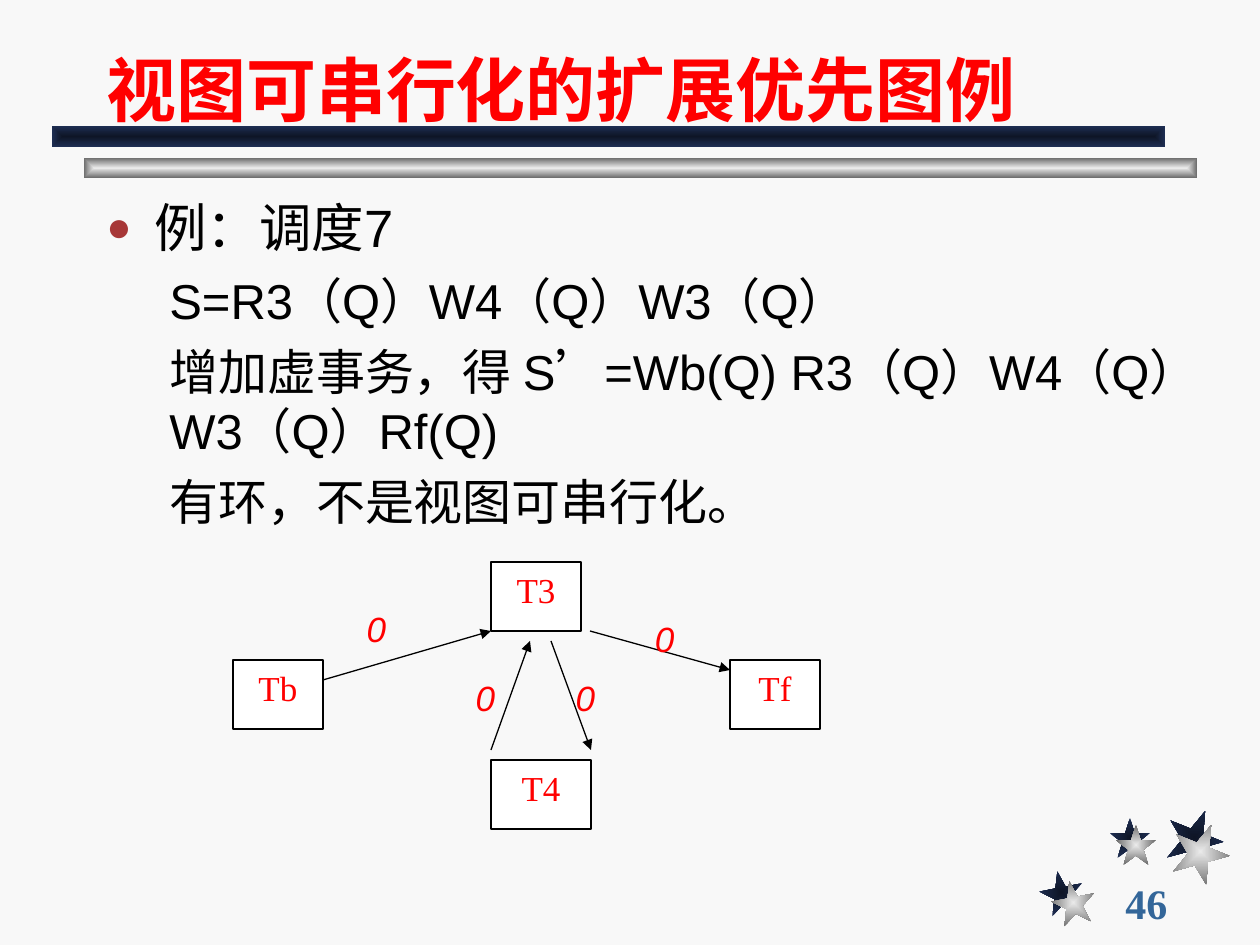
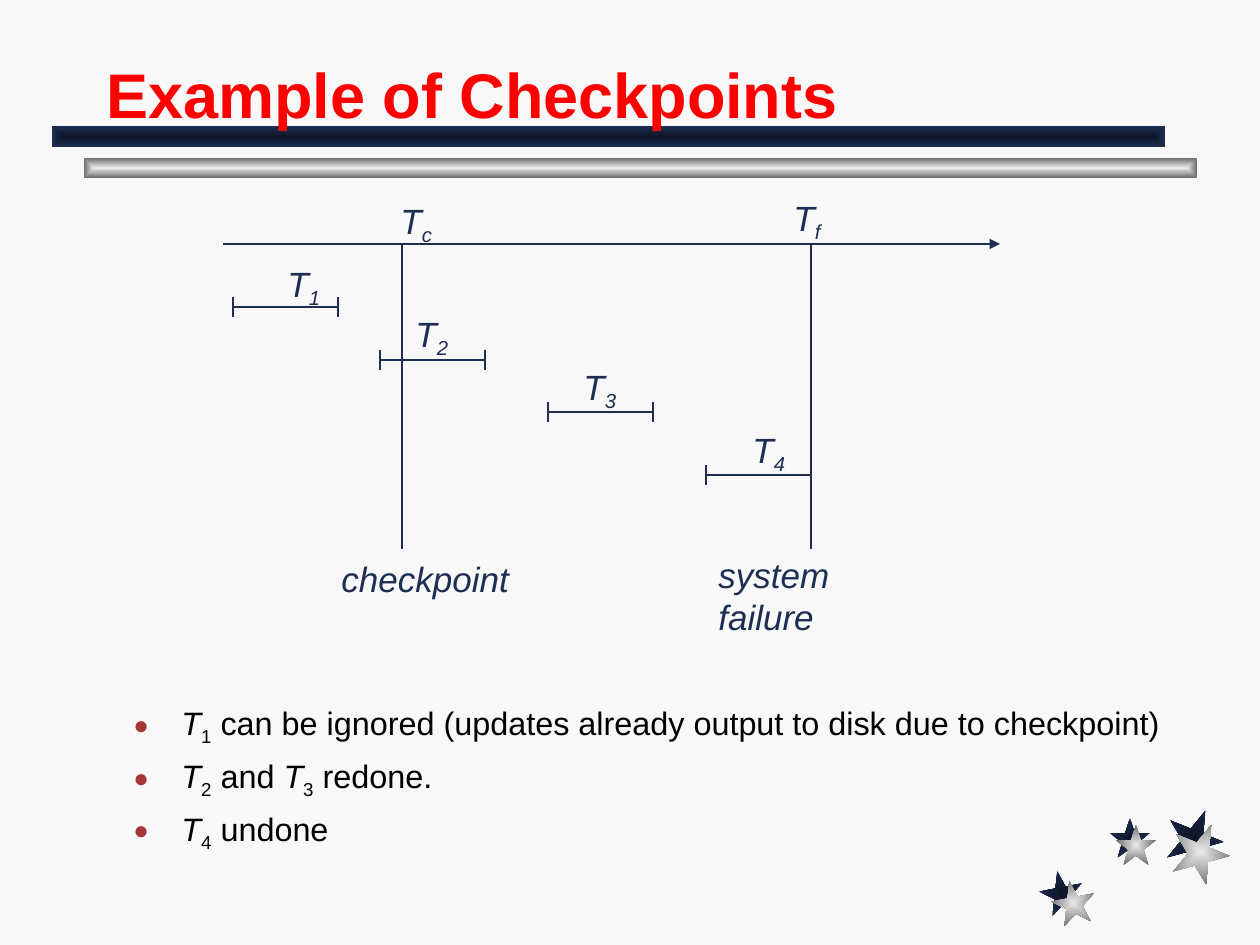
from dataclasses import dataclass

from lxml import etree
from pptx import Presentation
from pptx import util as u
from pptx.dml.color import RGBColor
from pptx.enum import shapes, text
from pptx.oxml import ns


@dataclass(frozen=True)
class Theme:
    paper: str = "F8F8F8"
    white: str = "FFFFFF"
    black: str = "000000"
    red: str = "FF0000"
    navy: str = "1E2E53"
    bullet: str = "A73737"
    page: str = "336699"
    navy_glow: tuple = ("0E1526", "1E2E53")
    silver_glow: tuple = ("EAEAEA", "6C6C6C")
    sans: str = "Arial"
    serif: str = "Times New Roman"
    label_size: float = 20
    page_size: float = 24
    lead_size: float = 30
    detail_size: float = 28
    note_size: float = 18.5
    line_width: float = 0.75


THEME = Theme()
EMU_PER_PX = 914400 / 126
SHAPE = shapes.MSO_SHAPE
ALIGN = text.PP_ALIGN
ANCHOR = text.MSO_ANCHOR


def px(*lengths):
    return [u.Emu(round(length * EMU_PER_PX)) for length in lengths]


def rgb(code):
    return RGBColor.from_string(code)


def add_xml(parent, tag, **attributes):
    return etree.SubElement(parent, ns.qn(tag), attributes)


# Text

def style_span(span, size, color, font=THEME.sans, bold=False, italic=False):
    span.font.size = u.Pt(size)
    span.font.color.rgb = rgb(color)
    span.font.name = font
    span.font.bold = bold
    span.font.italic = italic


def add_text(page, area, content, size, color, align=ALIGN.LEFT,
             anchor=ANCHOR.TOP, wrap=False, **style):
    box = page.shapes.add_textbox(*px(*area))
    frame = box.text_frame
    frame.word_wrap = wrap
    frame.vertical_anchor = anchor
    frame.text = content
    para = frame.paragraphs[0]
    para.alignment = align
    for span in para.runs:
        style_span(span, size, color, **style)
    return box


def add_subscript(para, content, *style, **options):
    span = para.add_run()
    span.text = content
    style_span(span, *style, **options)
    span._r.get_or_add_rPr().set("baseline", "-25000")


def add_symbol(page, left, top, letter, index):
    """An italic letter with a subscript."""
    style = (THEME.label_size, THEME.navy)
    box = add_text(page, (left, top, 58, 60), letter, *style, italic=True)
    add_subscript(box.text_frame.paragraphs[0], index, *style, italic=True)


def indent(para, margin, hanging=0):
    properties = para._p.get_or_add_pPr()
    properties.set("marL", str(px(margin)[0]))
    properties.set("indent", str(px(-hanging)[0]))
    return properties


def add_bullet(para):
    properties = indent(para, 48, 48)
    color = add_xml(properties, "a:buClr")
    add_xml(color, "a:srgbClr", val=THEME.bullet)
    add_xml(properties, "a:buSzPct", val="80000")
    add_xml(properties, "a:buFont", typeface=THEME.sans)
    add_xml(properties, "a:buChar", char="●")


def add_body(page, area):
    frame = page.shapes.add_textbox(*px(*area)).text_frame
    frame.word_wrap = True
    return frame


def next_paragraph(frame, position, space):
    if position == 0:
        return frame.paragraphs[0]
    para = frame.add_paragraph()
    para.space_before = u.Pt(space)
    return para


# Shapes and lines

def add_glowing(page, kind, area, glow, rotation=0):
    """A borderless shape with a gradient that spreads from its centre."""
    shape = page.shapes.add_shape(kind, *px(*area))
    shape.shadow.inherit = False
    shape.rotation = rotation
    shape.line.fill.background()
    shape.fill.gradient()
    for stop, position, code in zip(shape.fill.gradient_stops, (0, 1), glow):
        stop.position = position
        stop.color.rgb = rgb(code)
    gradient = shape._element.spPr.find(ns.qn("a:gradFill"))
    gradient.remove(gradient.find(ns.qn("a:lin")))
    spread = add_xml(gradient, "a:path", path="rect")
    add_xml(spread, "a:fillToRect", l="50000", t="50000", r="50000", b="50000")


def add_line(page, start, end, color, arrow=False):
    line = page.shapes.add_connector(shapes.MSO_CONNECTOR.STRAIGHT,
                                     *px(*start, *end))
    line.line.width = u.Pt(THEME.line_width)
    line.line.color.rgb = rgb(color)
    if arrow:
        add_xml(line.line._get_or_add_ln(), "a:tailEnd", type="triangle")
    add_xml(line._element.spPr, "a:effectLst")


def add_node(page, left, top, name, width=90):
    node = page.shapes.add_shape(SHAPE.RECTANGLE, *px(left, top, width, 69))
    node.shadow.inherit = False
    node.fill.solid()
    node.fill.fore_color.rgb = rgb(THEME.white)
    node.line.color.rgb = rgb(THEME.black)
    node.line.width = u.Pt(THEME.line_width)
    frame = node.text_frame
    frame.vertical_anchor = ANCHOR.TOP
    frame.text = name
    para = frame.paragraphs[0]
    para.alignment = ALIGN.CENTER
    style_span(para.runs[0], THEME.label_size, THEME.red, THEME.serif)


def add_interval(page, left, y, width=105, tick=10):
    """A transaction's lifetime, closed by a tick at each end."""
    right = left + width
    add_line(page, (left, y), (right, y), THEME.navy)
    for x in (left, right):
        add_line(page, (x, y - tick), (x, y + tick), THEME.navy)


# Shared page frame

def add_page(deck, title, title_size):
    page = deck.slides.add_slide(deck.slide_layouts[6])
    page.background.fill.solid()
    page.background.fill.fore_color.rgb = rgb(THEME.paper)

    # Each star: left, top, size, rotation, offset of its silver twin
    stars = [(1040, 871, 43, 349, 12, 10),
             (1110, 818, 40, 0, 6, 7),
             (1166, 809, 57, 22, 6, 14)]
    for left, top, size, turn, _, _ in stars:
        add_glowing(page, SHAPE.STAR_5_POINT, (left, top, size, size),
                    THEME.navy_glow, turn)
    for left, top, size, turn, right, down in stars:
        add_glowing(page, SHAPE.STAR_5_POINT,
                    (left + right, top + down, size, size),
                    THEME.silver_glow, turn)

    # Bands under the title
    add_glowing(page, SHAPE.RECTANGLE, (84, 158, 1113, 20), THEME.silver_glow)
    add_glowing(page, SHAPE.RECTANGLE, (52, 126, 1113, 21), THEME.navy_glow)
    add_text(page, (94, 21, 1071, 116), title, title_size, THEME.red,
             anchor=ANCHOR.BOTTOM, wrap=True, bold=True)
    return page


# Pages

def build_precedence_page(deck):
    page = add_page(deck, "视图可串行化的扩展优先图例", 40)
    add_text(page, (1113, 882, 136, 42), "46", THEME.page_size, THEME.page,
             anchor=ANCHOR.MIDDLE, font=THEME.serif, bold=True)

    # Schedule
    lines = ["例：调度7",
             "S=R3（Q）W4（Q）W3（Q）",
             "增加虚事务，得 S’=Wb(Q) R3（Q）W4（Q）W3（Q）Rf(Q)",
             "有环，不是视图可串行化。"]
    frame = add_body(page, (94, 189, 1132, 348))
    for position, line in enumerate(lines):
        para = next_paragraph(frame, position, 7)
        para.text = line
        if position == 0:
            add_bullet(para)
            size = THEME.lead_size
        else:
            indent(para, 63)
            size = THEME.detail_size
        style_span(para.runs[0], size, THEME.black)

    # Precedence graph
    add_node(page, 233, 660, "Tb")
    add_node(page, 730, 660, "Tf")
    add_node(page, 491, 760, "T4", width=100)
    add_node(page, 491, 562, "T3")
    edges = [((323, 680), (491, 631)), ((551, 641), (591, 750)),
             ((491, 750), (530, 641)), ((590, 631), (730, 670))]
    for start, end in edges:
        add_line(page, start, end, THEME.black, arrow=True)
    for left, top in [(352, 601), (640, 611), (561, 670), (461, 670)]:
        add_text(page, (left, top, 49, 55), "0", THEME.label_size, THEME.red,
                 align=ALIGN.CENTER, wrap=True, italic=True)


def build_checkpoint_page(deck):
    page = add_page(deck, "Example of Checkpoints", 36)

    # Time axis with its two events
    axis_y = 244
    add_line(page, (223, axis_y), (1000, axis_y), THEME.navy, arrow=True)
    events = [(402, (388, 193), "c", (329, 551, 193, 55), "checkpoint"),
              (811, (781, 190), "f", (706, 547, 241, 55), "system failure")]
    for x, symbol_place, index, caption_area, caption in events:
        add_line(page, (x, axis_y), (x, 549), THEME.navy)
        add_symbol(page, *symbol_place, "T", index)
        add_text(page, caption_area, caption, THEME.label_size, THEME.navy,
                 italic=True)

    # Transactions
    intervals = [(233, 307, 275, 256), (380, 360, 403, 306),
                 (548, 412, 571, 359), (706, 475, 740, 422)]
    for number, (left, y, label_left, label_top) in enumerate(intervals, 1):
        add_interval(page, left, y)
        add_symbol(page, label_left, label_top, "T", str(number))

    # Outcomes: each part is a transaction number and the words after it
    outcomes = [
        [("1", " can be ignored (updates already output to disk due to checkpoint)")],
        [("2", " and "), ("3", " redone.")],
        [("4", " undone")],
    ]
    style = (THEME.note_size, THEME.black)
    frame = add_body(page, (121, 697, 1139, 166))
    for position, outcome in enumerate(outcomes):
        para = next_paragraph(frame, position, 5)
        add_bullet(para)
        for number, words in outcome:
            letter = para.add_run()
            letter.text = "T"
            style_span(letter, *style, italic=True)
            add_subscript(para, number, *style)
            rest = para.add_run()
            rest.text = words
            style_span(rest, *style)


def main():
    deck = Presentation()
    deck.slide_width, deck.slide_height = px(1260, 945)
    build_precedence_page(deck)
    build_checkpoint_page(deck)
    deck.save("out.pptx")


if __name__ == "__main__":
    main()
